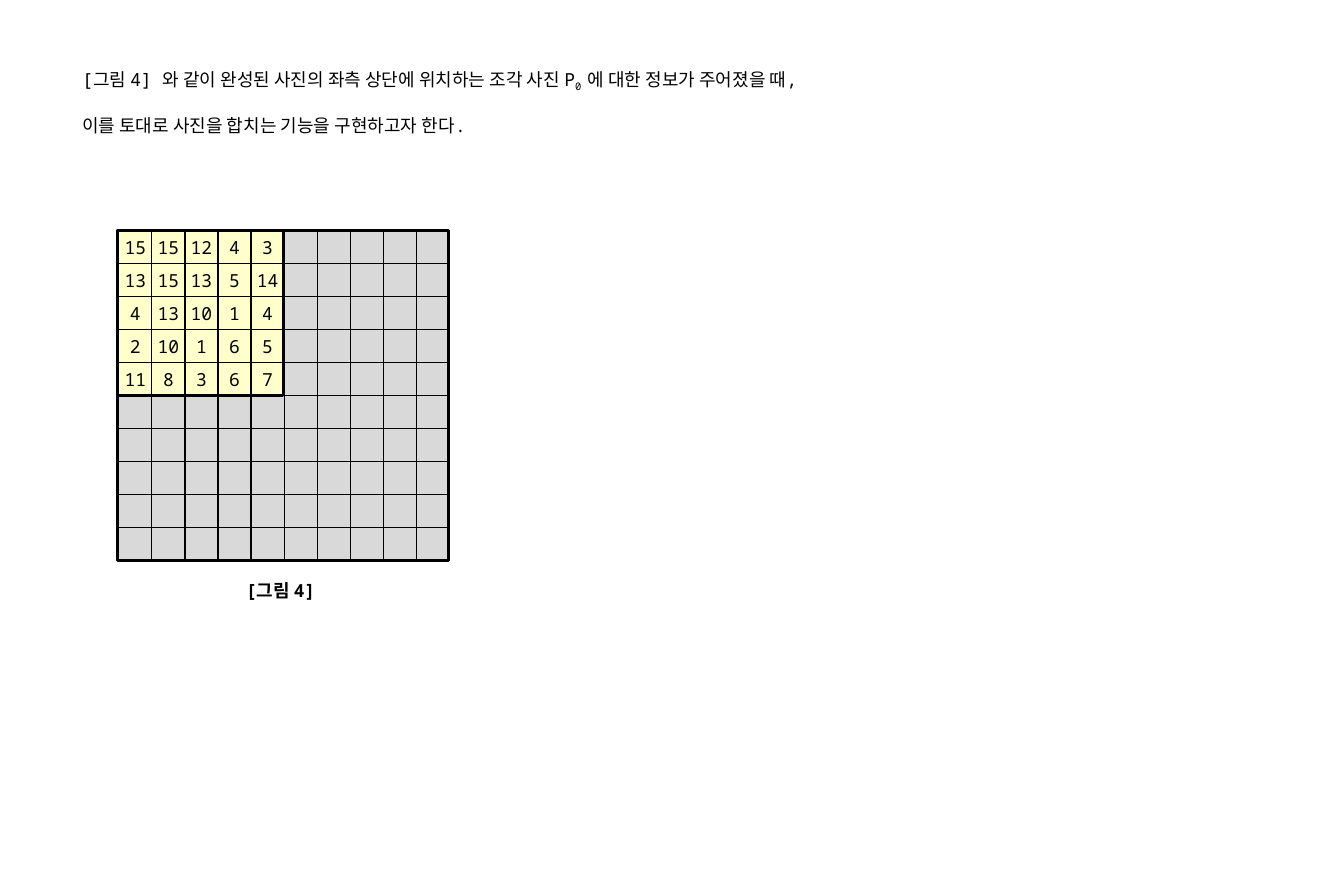
import pptx
import pptx.util
import pptx.dml.color
import pptx.enum.shapes
import pptx.enum.text
from dataclasses import dataclass

INTRO = [
    [("[그림 4] 와 같이 완성된 사진의 좌측 상단에 위치하는 조각 사진 P", 0),
     ("0 ", -25000),
     ("에 대한 정보가 주어졌을 때,", 0)],
    [("이를 토대로 사진을 합치는 기능을 구현하고자 한다.", 0)],
]
LABEL = [[("[그림 4]", 0)]]
PIECE = [
    [15, 15, 12, 4, 3],
    [13, 15, 13, 5, 14],
    [4, 13, 10, 1, 4],
    [2, 10, 1, 6, 5],
    [11, 8, 3, 6, 7],
]
COUNT = 10
LEFT, TOP = 1.01, 1.96
WIDE, HIGH = 2.81, 2.8
EDGE = 1


@dataclass
class Theme:
    face: str = "Noto Sans Mono"
    size: float = 11
    ink: str = "000000"
    known: str = "FFFFCC"
    blank: str = "D9D9D9"
    thin: float = 0.75
    thick: float = 1.5


theme = Theme()
Inches = pptx.util.Inches
Pt = pptx.util.Pt
MSO = pptx.enum.text


def color(code):
    return pptx.dml.color.RGBColor.from_string(code)


def style(para, bold=False):
    para.font.name = theme.face
    para.font.size = Pt(theme.size)
    para.font.bold = bold
    para.font.color.rgb = color(theme.ink)


def add_text(slide, box, lines, space, wrap, bold=False):
    frame = slide.shapes.add_textbox(*map(Inches, box)).text_frame
    frame.word_wrap = wrap
    frame.auto_size = MSO.MSO_AUTO_SIZE.SHAPE_TO_FIT_TEXT
    for i, line in enumerate(lines):
        para = frame.add_paragraph() if i else frame.paragraphs[0]
        para.line_spacing = space
        style(para, bold)
        for text, shift in line:
            run = para.add_run()
            run.text = text
            if shift:
                run._r.get_or_add_rPr().set("baseline", str(shift))


def add_box(slide, box, fill, width):
    shape = slide.shapes.add_shape(
        pptx.enum.shapes.MSO_SHAPE.RECTANGLE, *map(Inches, box))
    shape.shadow.inherit = False
    if fill:
        shape.fill.solid()
        shape.fill.fore_color.rgb = color(fill)
    else:
        shape.fill.background()
    shape.line.color.rgb = color(theme.ink)
    shape.line.width = Pt(width)
    return shape


def add_value(shape, value):
    frame = shape.text_frame
    frame.margin_left = frame.margin_right = Inches(0.04)
    frame.margin_top = frame.margin_bottom = Inches(0.04)
    frame.vertical_anchor = MSO.MSO_ANCHOR.MIDDLE
    para = frame.paragraphs[0]
    para.alignment = MSO.PP_ALIGN.CENTER
    style(para)
    para.add_run().text = str(value)


def add_grid(slide):
    step, rise = WIDE / COUNT, HIGH / COUNT
    part = len(PIECE)
    for row in range(COUNT):
        for col in range(COUNT):
            known = row < part and col < part
            box = LEFT + col * step, TOP + row * rise, step, rise
            fill = theme.known if known else theme.blank
            cell = add_box(slide, box, fill, theme.thin)
            if known:
                add_value(cell, PIECE[row][col])
    for size in (part, COUNT):
        box = EDGE, TOP, size * step, size * rise
        add_box(slide, box, None, theme.thick)


def main():
    deck = pptx.Presentation()
    deck.slide_width = Inches(11.42)
    deck.slide_height = Inches(7.5)
    slide = deck.slides.add_slide(deck.slide_layouts[6])
    add_text(slide, (0.6, 0.32, 7.45, 0.79), INTRO, 2.0, False)
    add_text(slide, (1.99, 4.82, 0.96, 0.32), LABEL, 1.3, True, True)
    add_grid(slide)
    deck.save("out.pptx")


if __name__ == "__main__":
    main()
